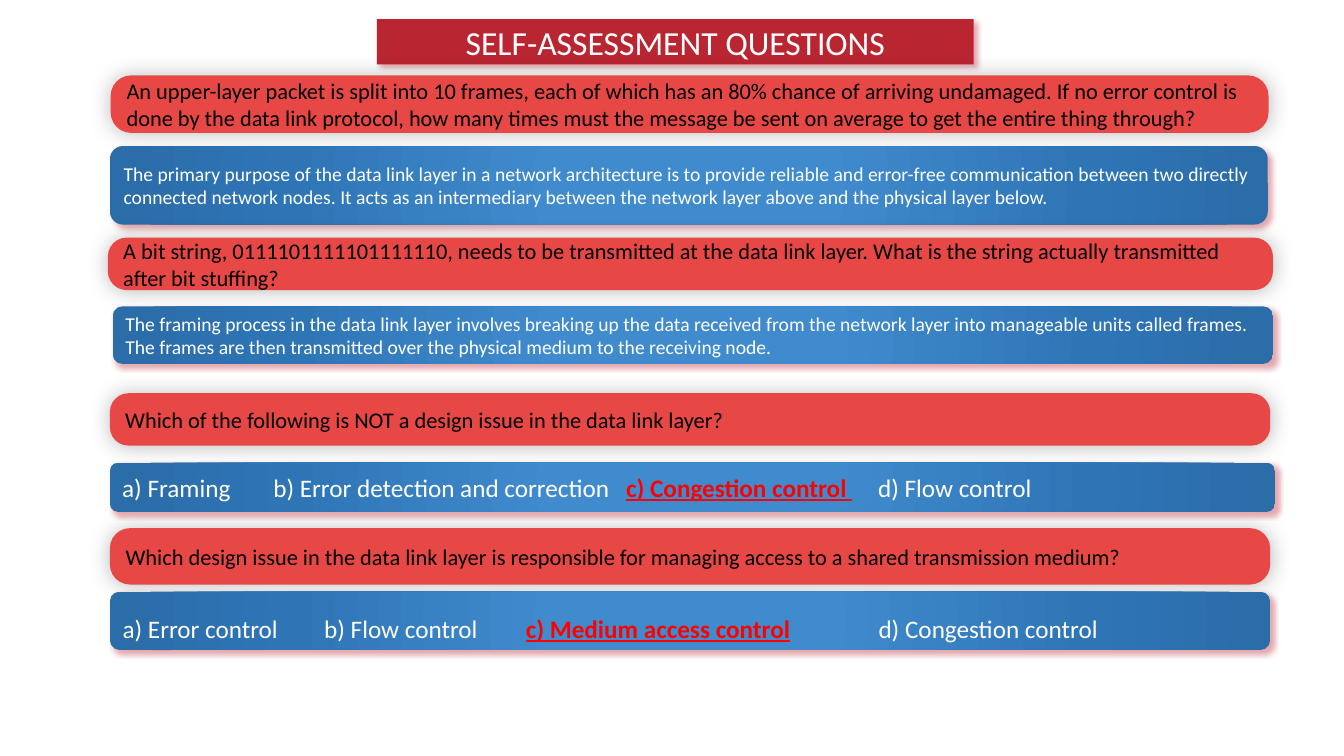
from pptx import Presentation
from pptx.dml.color import RGBColor
from pptx.enum.shapes import MSO_SHAPE
from pptx.enum.text import MSO_ANCHOR, MSO_AUTO_SIZE, PP_ALIGN
from pptx.oxml import parse_xml
from pptx.oxml.ns import nsdecls, qn
from pptx.util import Cm, Pt

ROUNDED = MSO_SHAPE.ROUNDED_RECTANGLE
MIDDLE = MSO_ANCHOR.MIDDLE
NO_AUTOFIT = MSO_AUTO_SIZE.NONE
LEFT, CENTER = PP_ALIGN.LEFT, PP_ALIGN.CENTER

WHITE, BLACK, RED = "FFFFFF", "000000", "FF0000"
TITLE_RED, QUESTION_RED = "BA2532", "E84845"
BLUE_STOPS = [(0, "408BCE"), (23, "408BCE"), (69, "2E75B6"), (97, "2B6DA9")]


def style_box(shape, fill, shadow_color, opacity, blur, distance, angle):
    """Fill a box with one colour or with radial stops, and add its shadow."""
    properties = shape.element.spPr
    if isinstance(fill, str):
        shape.fill.solid()
        shape.fill.fore_color.rgb = RGBColor.from_string(fill)
    else:
        stops = "".join(
            f'<a:gs pos="{position * 1000}"><a:srgbClr val="{color}"/></a:gs>'
            for position, color in fill)
        shape.fill.gradient()
        properties.replace(properties.find(qn("a:gradFill")), parse_xml(
            f'<a:gradFill {nsdecls("a")} rotWithShape="1"><a:gsLst>{stops}</a:gsLst>'
            '<a:path path="circle"><a:fillToRect l="50000" t="50000" r="50000" b="50000"/>'
            '</a:path></a:gradFill>'))
    shape.line.fill.background()
    shape.shadow.inherit = False
    properties.find(qn("a:effectLst")).append(parse_xml(
        f'<a:outerShdw {nsdecls("a")} blurRad="{Pt(blur)}" dist="{Pt(distance)}" '
        f'dir="{angle * 60000}" algn="ctr" rotWithShape="0"><a:srgbClr val="{shadow_color}">'
        f'<a:alpha val="{opacity * 1000}"/></a:srgbClr></a:outerShdw>'))


def write_text(shape, runs, size, color=WHITE, align=LEFT, line_spacing=None):
    """Write one paragraph; runs are (text, is_correct_answer) pairs."""
    frame = shape.text_frame
    frame.word_wrap = True
    frame.auto_size = NO_AUTOFIT
    frame.vertical_anchor = MIDDLE
    paragraph = frame.paragraphs[0]
    paragraph.alignment = align
    paragraph.line_spacing = line_spacing
    for text, is_correct in runs:
        run = paragraph.add_run()
        run.text = text
        run.font.name = "Calibri"
        run.font.size = Pt(size)
        run.font.bold = run.font.underline = is_correct
        run.font.color.rgb = RGBColor.from_string(RED if is_correct else color)


presentation = Presentation()
presentation.slide_width, presentation.slide_height = Cm(33.87), Cm(19.05)
slide = presentation.slides.add_slide(presentation.slide_layouts[5])

# Title banner
title = slide.shapes.title
title.left, title.top, title.width, title.height = Cm(9.5), Cm(0.48), Cm(15.04), Cm(1.14)
title.element.spPr.append(parse_xml(
    f'<a:prstGeom {nsdecls("a")} prst="roundRect"><a:avLst/></a:prstGeom>'))
style_box(title, TITLE_RED, TITLE_RED, 40, 4, 3, 45)
write_text(title, [("SELF-ASSESSMENT QUESTIONS", False)], 24, align=CENTER)

# Questions: left, top, width, height, text
questions = [
    (2.79, 1.9, 29.18, 1.45,
     "An upper-layer packet is split into 10 frames, each of which has an 80% chance of "
     "arriving undamaged. If no error control is done by the data link protocol, how many "
     "times must the message be sent on average to get the entire thing through?"),
    (2.72, 5.99, 29.36, 1.32,
     "A bit string, 0111101111101111110, needs to be transmitted at the data link layer. "
     "What is the string actually transmitted after bit stuffing?"),
    (2.77, 9.91, 29.24, 1.32,
     "Which of the following is NOT a design issue in the data link layer?"),
    (2.77, 13.31, 29.24, 1.42,
     "Which design issue in the data link layer is responsible for managing access to a "
     "shared transmission medium?"),
]

# Answers: left, top, width, height, text size, line spacing, runs
answers = [
    (2.77, 3.68, 29.18, 1.98, 14, None, [
        ("The primary purpose of the data link layer in a network architecture is to provide "
         "reliable and error-free communication between two directly connected network nodes. "
         "It acts as an intermediary between the network layer above and the physical layer "
         "below.", False)]),
    (2.84, 7.72, 29.24, 1.45, 14, None, [
        ("The framing process in the data link layer involves breaking up the data received "
         "from the network layer into manageable units called frames. The frames are then "
         "transmitted over the physical medium to the receiving node.", False)]),
    (2.77, 11.66, 29.36, 1.24, 18, None, [
        ("a) Framing \tb) Error detection and correction \t", False),
        ("c) Congestion control ", True),
        ("\td) Flow control", False)]),
    (2.77, 14.91, 29.24, 1.47, 18, 1.5, [
        ("a) Error control \tb) Flow control \t", False),
        ("c) Medium access control\t", True),
        ("\td) Congestion control", False)]),
]

# Each question box is followed by its answer box
for question, answer in zip(questions, answers):
    *place, text = question
    box = slide.shapes.add_shape(ROUNDED, *map(Cm, place))
    box.adjustments[0] = 0.356
    style_box(box, QUESTION_RED, BLACK, 25, 15, 0, 0)
    write_text(box, [(text, False)], 16, color=BLACK)

    *place, size, spacing, runs = answer
    box = slide.shapes.add_shape(ROUNDED, *map(Cm, place))
    style_box(box, BLUE_STOPS, TITLE_RED, 40, 4, 3, 45)
    write_text(box, runs, size, line_spacing=spacing)

presentation.save("out.pptx")
